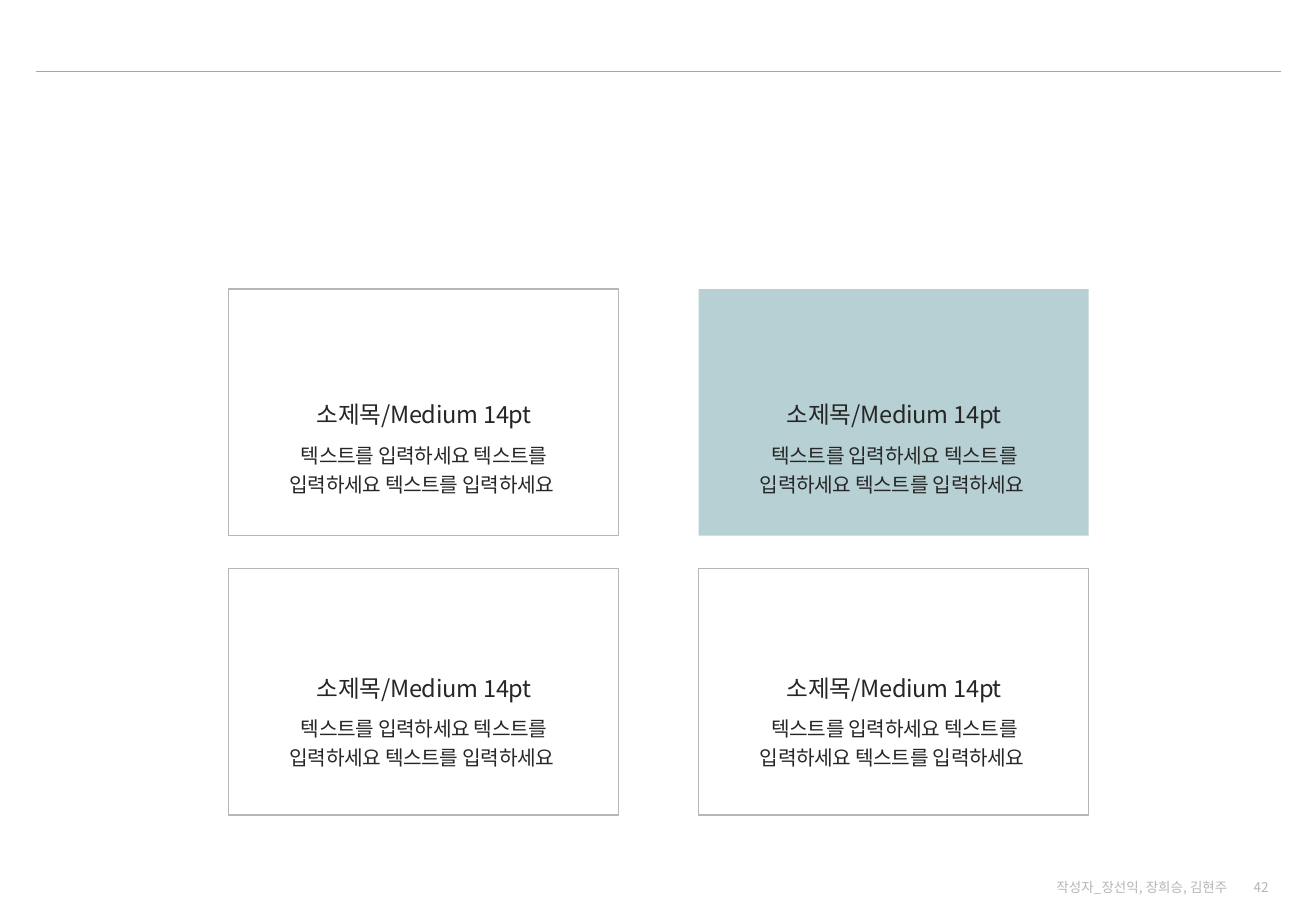
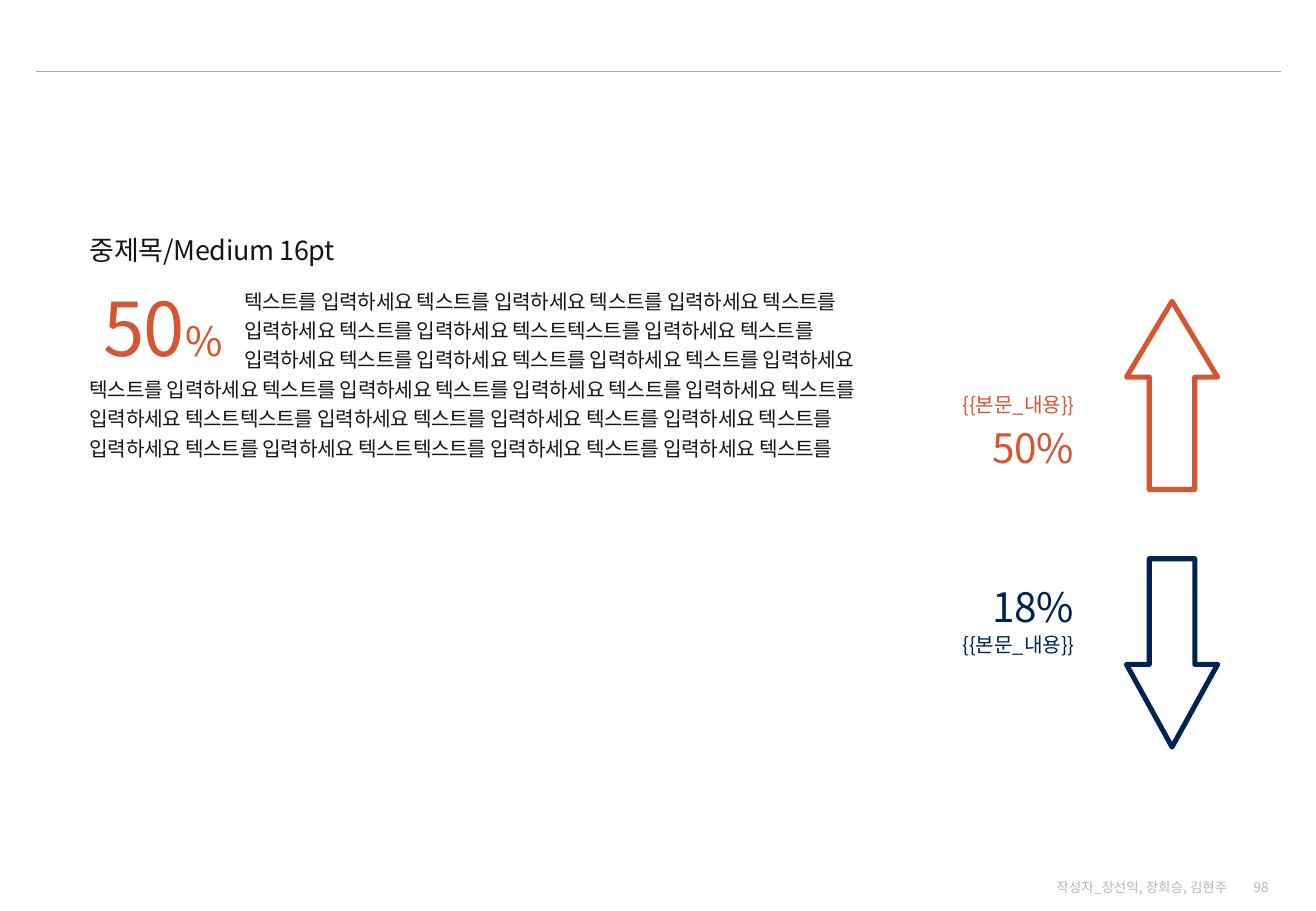
"""Build a four-card slide and a slide of figures with rising and falling arrows."""
from lxml import etree
from pptx import Presentation
from pptx import util as u
from pptx.dml import color
from pptx.enum import shapes, text
from pptx.oxml import ns

PX = 9144
FONT = "Noto Sans CJK KR"
COLORS = {
    "rule": "A6A6A6", "gray": "B6B6B6", "white": "FFFFFF", "teal": "B7D0D4",
    "charcoal": "262626", "ink": "161516", "orange": "D55633", "navy": "002452",
}
ALIGN = text.PP_ALIGN
ANCHOR = text.MSO_ANCHOR

AUTHORS = "작성자_장선익, 장희승, 김현주"
CARD_TITLE = "소제목/Medium 14pt"
CARD_BODY = "텍스트를 입력하세요 텍스트를 입력하세요 텍스트를 입력하세요 "
CARD_FILLS = (("white", "teal"), ("white", "white"))
CARD_LEFTS = (188, 575)
CARD_TOPS = (238, 468)
CARD_TITLE_TOPS = (320, 545)
CARD_SIZE = (321, 203)

HEADING = "중제목/Medium 16pt"
LEAD = (
    "텍스트를 입력하세요 텍스트를 입력하세요 텍스트를 입력하세요 텍스트를 입력하세요 "
    "텍스트를 입력하세요 텍스트텍스트를 입력하세요 텍스트를 입력하세요 "
    "텍스트를 입력하세요 텍스트를 입력하세요 텍스트를 입력하세요"
)
CONTINUATION = LEAD + " 텍스트텍스트를 입력하세요 텍스트를 입력하세요 텍스트를"
TREND_LABEL = "{{본문_내용}}"
TRENDS = (
    {"value": "50%", "color": "orange", "arrow_top": 248, "rotation": 0,
     "head": 0.833, "value_top": 335, "label_top": 314},
    {"value": "18%", "color": "navy", "arrow_top": 460, "rotation": 180,
     "head": 0.907, "value_top": 466, "label_top": 512},
)


def px(*lengths):
    return [u.Emu(length * PX) for length in lengths]


def rgb(name):
    return color.RGBColor.from_string(COLORS[name])


def write(shape, runs, color_name, align=ALIGN.LEFT, anchor=ANCHOR.TOP,
          grow=True, spacing=1.2, tracking=-20):
    frame = shape.text_frame
    frame.word_wrap = True
    frame.auto_size = (text.MSO_AUTO_SIZE.SHAPE_TO_FIT_TEXT if grow
                       else text.MSO_AUTO_SIZE.NONE)
    frame.vertical_anchor = anchor
    paragraph = frame.paragraphs[0]
    paragraph.alignment = align
    paragraph.line_spacing = spacing
    for words, size in runs:
        run = paragraph.add_run()
        run.text = words
        run.font.size = u.Pt(size)
        run.font.name = FONT
        run.font.color.rgb = rgb(color_name)
    for properties in shape.element.iter(ns.qn("a:rPr")):
        properties.set("spc", str(tracking))
        etree.SubElement(properties, ns.qn("a:ea"), typeface=FONT)


def add_text(slide, box, words, size, color_name, **style):
    shape = slide.shapes.add_textbox(*px(*box))
    write(shape, [(words, size)], color_name, **style)


def add_shape(slide, kind, box, fill=None, line=None, width=0.75):
    shape = slide.shapes.add_shape(kind, *px(*box))
    shape.shadow.inherit = False
    if fill:
        shape.fill.solid()
        shape.fill.fore_color.rgb = rgb(fill)
    else:
        shape.fill.background()
    if line:
        shape.line.color.rgb = rgb(line)
        shape.line.width = u.Pt(width)
    else:
        shape.line.fill.background()
    return shape


def add_slide(presentation, layout_index, number):
    slide = presentation.slides.add_slide(presentation.slide_layouts[layout_index])
    rule = slide.shapes.add_connector(shapes.MSO_CONNECTOR.STRAIGHT,
                                      *px(30, 59, 1054, 59))
    rule.line.color.rgb = rgb("rule")
    rule.line.width = u.Pt(0.75)
    etree.SubElement(rule.element.spPr, ns.qn("a:effectLst"))
    for words, left, width in ((number, 1013, 41), (AUTHORS, 852, 168)):
        add_text(slide, (left, 722, width, 16), words, 8, "gray",
                 align=ALIGN.RIGHT, anchor=ANCHOR.MIDDLE, grow=False,
                 spacing=1.0, tracking=0)
    return slide


def build_cards(presentation):
    slide = add_slide(presentation, 6, "42")
    for top, title_top, fills in zip(CARD_TOPS, CARD_TITLE_TOPS, CARD_FILLS):
        for left, fill in zip(CARD_LEFTS, fills):
            add_shape(slide, shapes.MSO_SHAPE.RECTANGLE, (left, top, *CARD_SIZE),
                      fill, "gray" if fill == "white" else None)
            add_text(slide, (left + 12, title_top, 298, 38), CARD_TITLE, 14,
                     "charcoal", align=ALIGN.CENTER)
            add_text(slide, (left + 12, title_top + 36, 298, 58), CARD_BODY, 12,
                     "charcoal", align=ALIGN.CENTER)


def build_figures(presentation):
    slide = add_slide(presentation, 5, "98")
    title = slide.shapes.title
    title.left, title.top, title.width, title.height = px(64, 182, 275, 42)
    write(title, [(HEADING, 16)], "ink")

    figure = slide.shapes.add_textbox(*px(72, 224, 124, 76))
    write(figure, [("50", 44), ("%", 24)], "orange", align=ALIGN.CENTER,
          anchor=ANCHOR.MIDDLE, grow=False)
    add_text(slide, (191, 229, 559, 82), LEAD, 12, "ink")
    add_text(slide, (64, 302, 686, 106), CONTINUATION, 12, "ink")

    for trend in TRENDS:
        arrow = add_shape(slide, shapes.MSO_SHAPE.UP_ARROW,
                          (927, trend["arrow_top"], 75, 155),
                          line=trend["color"], width=3)
        arrow.adjustments[0] = 0.5
        arrow.adjustments[1] = trend["head"]
        arrow.rotation = trend["rotation"]
        add_text(slide, (799, trend["value_top"], 102, 58), trend["value"], 24,
                 trend["color"], align=ALIGN.CENTER, anchor=ANCHOR.MIDDLE)
        add_text(slide, (727, trend["label_top"], 167, 34), TREND_LABEL, 12,
                 trend["color"], align=ALIGN.RIGHT)


def main():
    presentation = Presentation()
    presentation.slide_width, presentation.slide_height = px(1083, 750)
    build_cards(presentation)
    build_figures(presentation)
    presentation.save("out.pptx")


if __name__ == "__main__":
    main()
